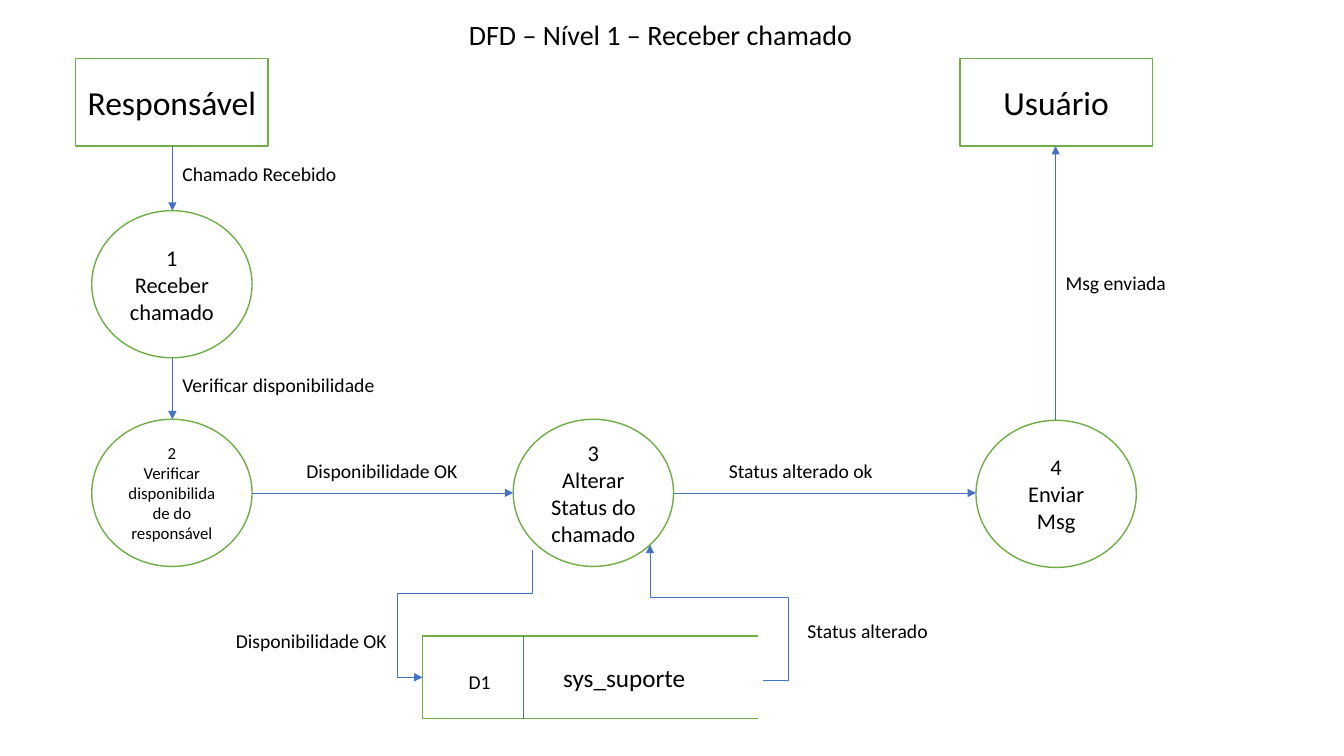
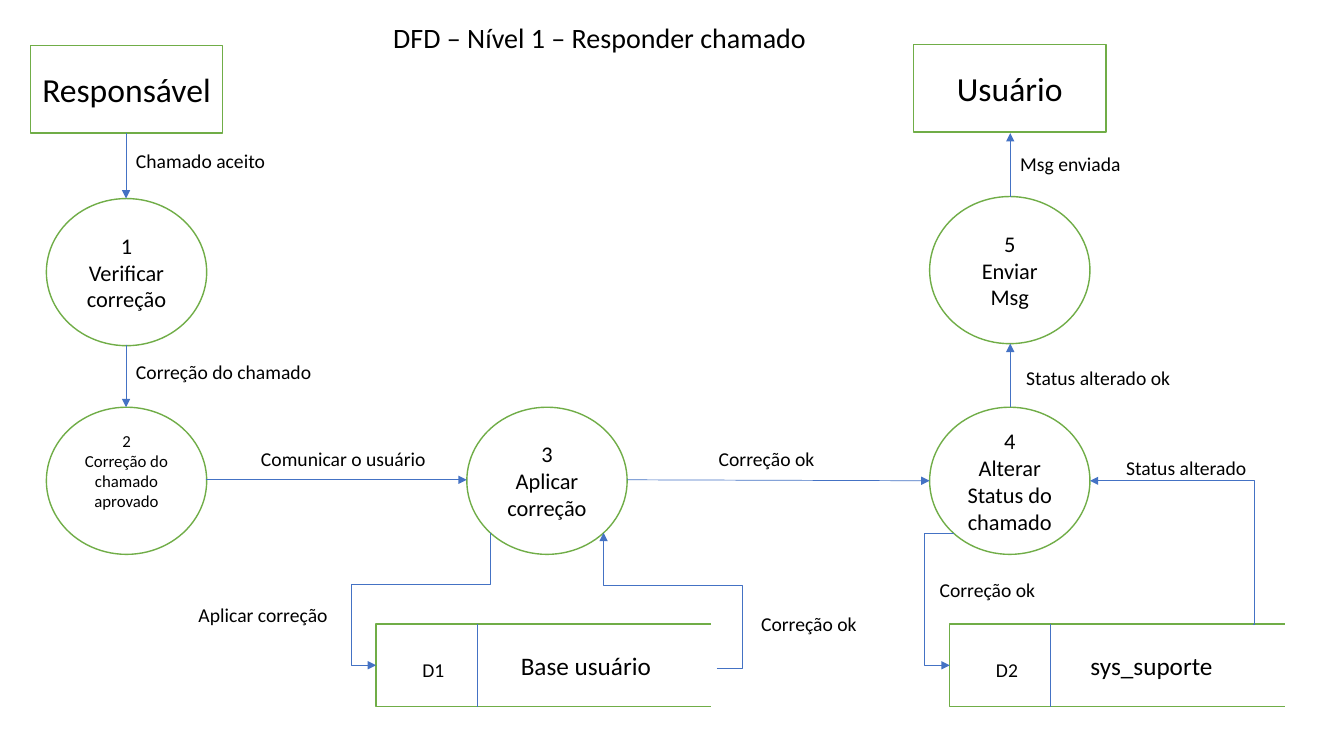
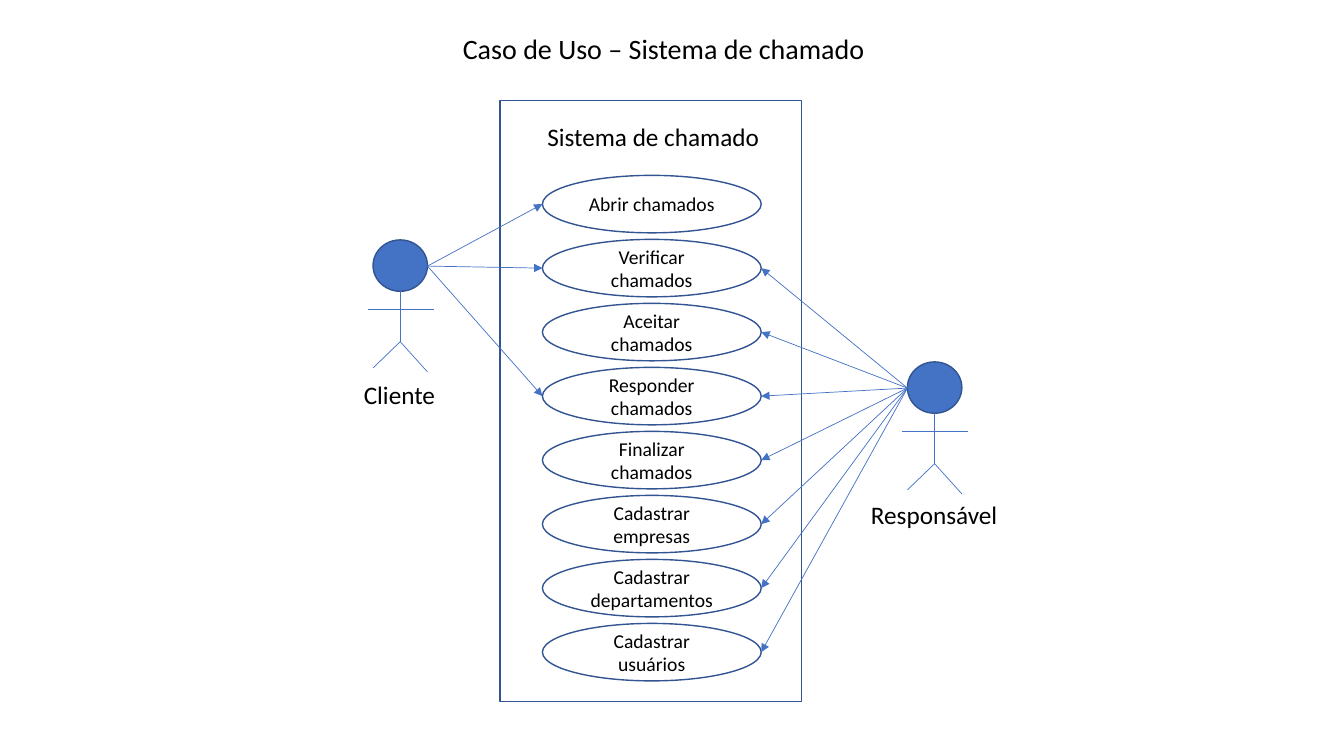
from lxml.etree import SubElement
from pptx import Presentation
from pptx.dml.color import RGBColor
from pptx.enum.shapes import MSO_CONNECTOR as Link, MSO_SHAPE as Preset
from pptx.enum.text import MSO_ANCHOR as Anchor, MSO_AUTO_SIZE as AutoSize, PP_ALIGN as Align
from pptx.oxml.ns import qn
from pptx.util import Inches, Pt

FONT = "Calibri"
BLACK, WHITE = "000000", "FFFFFF"
GREEN, BLUE, NAVY = "70AD47", "4472C4", "325491"
CIRCLE_WIDTH, CIRCLE_HEIGHT = 1.59, 1.46
STORE_WIDTH, STORE_HEIGHT = 3.38, 0.82
ELLIPSE_BOTTOM_LEFT, ELLIPSE_BOTTOM_RIGHT, ELLIPSE_RIGHT = 3, 5, 6
RECT_LEFT, RECT_RIGHT = 1, 3
DIAGONAL = 0.8536  # share of an ellipse's size where its 45-degree site lies
DETOUR = 0.25


def color(code):
    """Turn a hex string into a colour."""
    return RGBColor.from_string(code)


def write(frame, lines, size, align=Align.LEFT):
    """Fill a text frame, one paragraph a line."""
    frame.text = "\n".join(lines)
    for para in frame.paragraphs:
        para.alignment = align
        para.font.name = FONT
        para.font.size = Pt(size)
        para.font.color.rgb = color(BLACK)


def add_title_page(deck, text, left, top, width):
    """Add a title-only slide and place its title."""
    page = deck.slides.add_slide(deck.slide_layouts[5])
    title = page.shapes.title
    title.left, title.top = Inches(left), Inches(top)
    title.width, title.height = Inches(width), Inches(0.44)
    frame = title.text_frame
    frame.word_wrap = True
    frame.auto_size = AutoSize.NONE
    frame.vertical_anchor = Anchor.TOP
    write(frame, [text], 20)
    return page


def add_box(page, preset, left, top, width, height, line, fill=None, lines=(), size=14):
    """Add an outlined shape with centred text."""
    box = page.shapes.add_shape(preset, Inches(left), Inches(top), Inches(width), Inches(height))
    box.shadow.inherit = False
    if fill:
        box.fill.solid()
        box.fill.fore_color.rgb = color(fill)
    else:
        box.fill.background()
    box.line.color.rgb = color(line)
    box.line.width = Pt(1)
    if lines:
        box.text_frame.word_wrap = True
        box.text_frame.vertical_anchor = Anchor.MIDDLE
        write(box.text_frame, lines, size, Align.CENTER)
    return box


def add_label(page, text, left, top, width, size=14, height=0.34, wrap=True):
    """Add a plain text box."""
    box = page.shapes.add_textbox(Inches(left), Inches(top), Inches(width), Inches(height))
    box.text_frame.word_wrap = wrap
    box.text_frame.auto_size = AutoSize.SHAPE_TO_FIT_TEXT
    write(box.text_frame, [text], size)


def add_line(page, start, end, arrow=True, kind=Link.STRAIGHT):
    """Add a thin connector, with an arrowhead unless told otherwise."""
    line = page.shapes.add_connector(kind, *(Inches(value) for value in (*start, *end)))
    line.line.color.rgb = color(BLUE)
    line.line.width = Pt(0.5)
    if arrow:
        SubElement(line.line._get_or_add_ln(), qn("a:tailEnd"), type="triangle")
    SubElement(line._element.spPr, qn("a:effectLst"))
    return line


def add_bent_arrow(page, start, end, preset, adjustments, quarter_turns=0, tail=None, head=None):
    """Add an elbow arrow; tail and head are (shape, site) pairs to glue to."""
    center_x, center_y = (start[0] + end[0]) / 2, (start[1] + end[1]) / 2
    across, down = end[0] - start[0], end[1] - start[1]
    for _ in range(quarter_turns):
        across, down = down, -across
    arrow = add_line(page, (center_x - across / 2, center_y - down / 2),
                     (center_x + across / 2, center_y + down / 2), kind=Link.ELBOW)
    properties = arrow._element.spPr
    if quarter_turns:
        properties.find(qn("a:xfrm")).set("rot", str(quarter_turns * 5400000))
    geometry = properties.find(qn("a:prstGeom"))
    geometry.set("prst", preset)
    guides = geometry.find(qn("a:avLst"))
    if guides is None:
        guides = SubElement(geometry, qn("a:avLst"))
    for number, share in enumerate(adjustments, 1):
        SubElement(guides, qn("a:gd"), name=f"adj{number}", fmla=f"val {round(share * 100000)}")
    glue = next(arrow._element.iter(qn("p:cNvCxnSpPr")))
    for tag, target in (("a:stCxn", tail), ("a:endCxn", head)):
        if target:
            shape, site = target
            SubElement(glue, qn(tag), id=str(shape.shape_id), idx=str(site))


def add_entity(page, text, left, top):
    """Add an external entity."""
    add_box(page, Preset.RECTANGLE, left, top, 1.91, 0.87, GREEN, WHITE, [text], 24)


def add_process(page, number, text, left, top, size=16):
    """Add a numbered process circle."""
    return add_box(page, Preset.OVAL, left, top, CIRCLE_WIDTH, CIRCLE_HEIGHT,
                   GREEN, WHITE, [number, text], size)


def add_store(page, code, name, left, top, indent):
    """Add a data store open on the right; return its body and open edge."""
    body = add_box(page, Preset.RECTANGLE, left, top, STORE_WIDTH, STORE_HEIGHT,
                   GREEN, WHITE, [name], 18)
    body.text_frame.margin_left = Inches(indent)
    add_line(page, (left + 1, top), (left + 1, top + STORE_HEIGHT), arrow=False)
    add_label(page, code, left + 0.36, top + 0.29, 0.63)
    edge = add_box(page, Preset.RECTANGLE, left + 3.33, top - 0.06, 0.05, 1.01, WHITE, WHITE)
    return body, edge


def site_below(process, share):
    """Give the point low on a circle, at a share of its width."""
    return (process.left.inches + process.width.inches * share,
            process.top.inches + process.height.inches * DIAGONAL)


def add_flow_in(page, process, store, turn, start=None):
    """Lead from a process down and into the left side of a store."""
    tail = None if start else (process, ELLIPSE_BOTTOM_LEFT)
    start = start or site_below(process, 1 - DIAGONAL)
    end = store.left.inches, store.top.inches + STORE_HEIGHT / 2
    across = start[0] - end[0]
    shares = (turn - start[1]) / (end[1] - start[1]), (across + DETOUR) / across
    add_bent_arrow(page, start, end, "bentConnector4", shares, 1, tail, (store, RECT_LEFT))


def add_flow_out(page, edge, process, turn):
    """Lead from the open edge of a store back up to a process."""
    start = (edge.left + edge.width).inches if hasattr(edge.left + edge.width, "inches") \
        else edge.left.inches + edge.width.inches, edge.top.inches + edge.height.inches / 2
    end = site_below(process, DIAGONAL)
    shares = DETOUR / (end[0] - start[0]), (turn - start[1]) / (end[1] - start[1])
    add_bent_arrow(page, start, end, "bentConnector4", shares, 0,
                   (edge, RECT_RIGHT), (process, ELLIPSE_BOTTOM_RIGHT))


def add_actor(page, name, left, top, label_left, label_top, label_width):
    """Add a stick figure with its name."""
    add_box(page, Preset.OVAL, left, top, 0.54, 0.51, NAVY, BLUE)
    neck = left + 0.27
    hip = neck, top + 1.01
    for start, end in (
        ((neck, top + 0.51), hip),
        (hip, (left, top + 1.27)),
        (hip, (left + 0.54, top + 1.31)),
        ((left - 0.05, top + 0.69), (left + 0.6, top + 0.69)),
    ):
        add_line(page, start, end, arrow=False)
    add_label(page, name, label_left, label_top, label_width, 18, 0.4, wrap=False)


def build_receive(deck):
    """Build the flow for receiving a ticket."""
    page = add_title_page(deck, "DFD – Nível 1 – Receber chamado", 4.55, 0.12, 4.44)
    add_entity(page, "Responsável", 0.75, 0.58)
    add_entity(page, "Usuário", 9.52, 0.58)
    add_process(page, "1", "Receber chamado", 0.91, 2.09)
    add_process(page, "2", "Verificar disponibilidade do responsável", 0.91, 4.16, 12)
    change = add_process(page, "3", "Alterar Status do chamado", 5.09, 4.16)
    add_process(page, "4", "Enviar Msg", 9.68, 4.17)
    store, edge = add_store(page, "D1", "sys_suporte", 4.19, 6.31, 0.72)
    for start, end in (
        ((1.71, 1.45), (1.71, 2.09)),
        ((1.71, 3.55), (1.71, 4.16)),
        ((2.5, 4.89), (5.09, 4.89)),
        ((6.68, 4.89), (9.68, 4.89)),
        ((10.47, 4.17), (10.47, 1.45)),
    ):
        add_line(page, start, end)
    add_flow_in(page, change, store, 5.89, start=(5.28, 5.46))
    add_flow_out(page, edge, change, 5.93)
    for text, left, top, width in (
        ("Chamado Recebido", 1.71, 1.56, 2.18),
        ("Verificar disponibilidade", 1.71, 3.65, 2.38),
        ("Disponibilidade OK", 2.94, 4.5, 1.84),
        ("Status alterado ok", 7.13, 4.5, 1.77),
        ("Msg enviada", 10.47, 2.64, 1.3),
        ("Disponibilidade OK", 2.24, 6.19, 1.84),
        ("Status alterado", 7.91, 6.09, 1.55),
    ):
        add_label(page, text, left, top, width)


def build_answer(deck):
    """Build the flow for answering a ticket."""
    page = add_title_page(deck, "DFD – Nível 1 – Responder chamado", 3.8, 0.15, 4.44)
    add_entity(page, "Responsável", 0.3, 0.45)
    add_entity(page, "Usuário", 9.06, 0.44)
    add_process(page, "1", "Verificar correção", 0.46, 1.97)
    approved = add_process(page, "2", "Correção do chamado aprovado", 0.46, 4.04, 12)
    approved.text_frame.margin_bottom = Inches(0.25)
    apply = add_process(page, "3", "Aplicar correção", 4.63, 4.04)
    change = add_process(page, "4", "Alterar Status do chamado", 9.22, 4.04)
    add_process(page, "5", "Enviar Msg", 9.22, 1.95)
    users, users_edge = add_store(page, "D1", "Base usuário", 3.73, 6.19, 0.88)
    support, _ = add_store(page, "D2", "sys_suporte", 9.42, 6.19, 0.72)
    for start, end in (
        ((1.25, 1.32), (1.25, 1.97)),
        ((1.25, 3.42), (1.25, 4.04)),
        ((2.04, 4.76), (4.63, 4.76)),
        ((6.22, 4.76), (9.22, 4.77)),
        ((10.02, 4.04), (10.02, 3.41)),
        ((10.02, 1.95), (10.02, 1.32)),
    ):
        add_line(page, start, end)
    add_flow_in(page, apply, users, 5.8)
    add_flow_out(page, users_edge, apply, 5.81)
    add_flow_in(page, change, support, 5.29)
    add_bent_arrow(page, (12.43, 6.19), (10.81, 4.77), "bentConnector3", [-0.004], 2,
                   head=(change, ELLIPSE_RIGHT))
    for text, left, top, width in (
        ("Chamado aceito", 1.25, 1.43, 2.18),
        ("Correção do chamado", 1.25, 3.52, 2.02),
        ("Comunicar o usuário", 2.49, 4.38, 1.84),
        ("Correção ok", 7.03, 4.38, 1.77),
        ("Msg enviada", 10.02, 1.46, 1.3),
        ("Status alterado ok", 10.08, 3.58, 1.77),
        ("Aplicar correção", 1.87, 5.93, 1.59),
        ("Correção ok", 7.45, 6.02, 1.59),
        ("Status alterado", 11.07, 4.47, 1.55),
        ("Correção ok", 9.22, 5.68, 1.19),
    ):
        add_label(page, text, left, top, width)


def build_use_cases(deck):
    """Build the use case diagram."""
    page = add_title_page(deck, "Caso de Uso – Sistema de chamado", 4.49, 0.26, 4.52)
    add_box(page, Preset.RECTANGLE, 4.96, 1, 2.99, 5.96, NAVY)
    add_label(page, "Sistema de chamado", 5.33, 1.15, 2.43, 18, 0.4)
    add_actor(page, "Cliente", 3.7, 2.38, 3.51, 3.71, 0.92)
    add_actor(page, "Responsável", 9, 3.59, 8.54, 4.9, 1.47)
    cases = ("Abrir chamados", "Verificar chamados", "Aceitar chamados",
             "Responder chamados", "Finalizar chamados", "Cadastrar empresas",
             "Cadastrar departamentos", "Cadastrar usuários")
    client_cases = (0, 1, 3)
    left, width, height = 5.38, 2.17, 0.57
    for number, case in enumerate(cases):
        top = 1.74 + number * 0.635
        middle = top + height / 2
        add_box(page, Preset.OVAL, left, top, width, height, NAVY, lines=[case])
        if number in client_cases:
            add_line(page, (4.24, 2.64), (left, middle))
        if number > 0:
            add_line(page, (9, 3.85), (left + width, middle))


def main():
    """Build and save the deck."""
    deck = Presentation()
    deck.slide_width, deck.slide_height = Inches(13.33), Inches(7.5)
    build_receive(deck)
    build_answer(deck)
    build_use_cases(deck)
    deck.save("out.pptx")


main()
